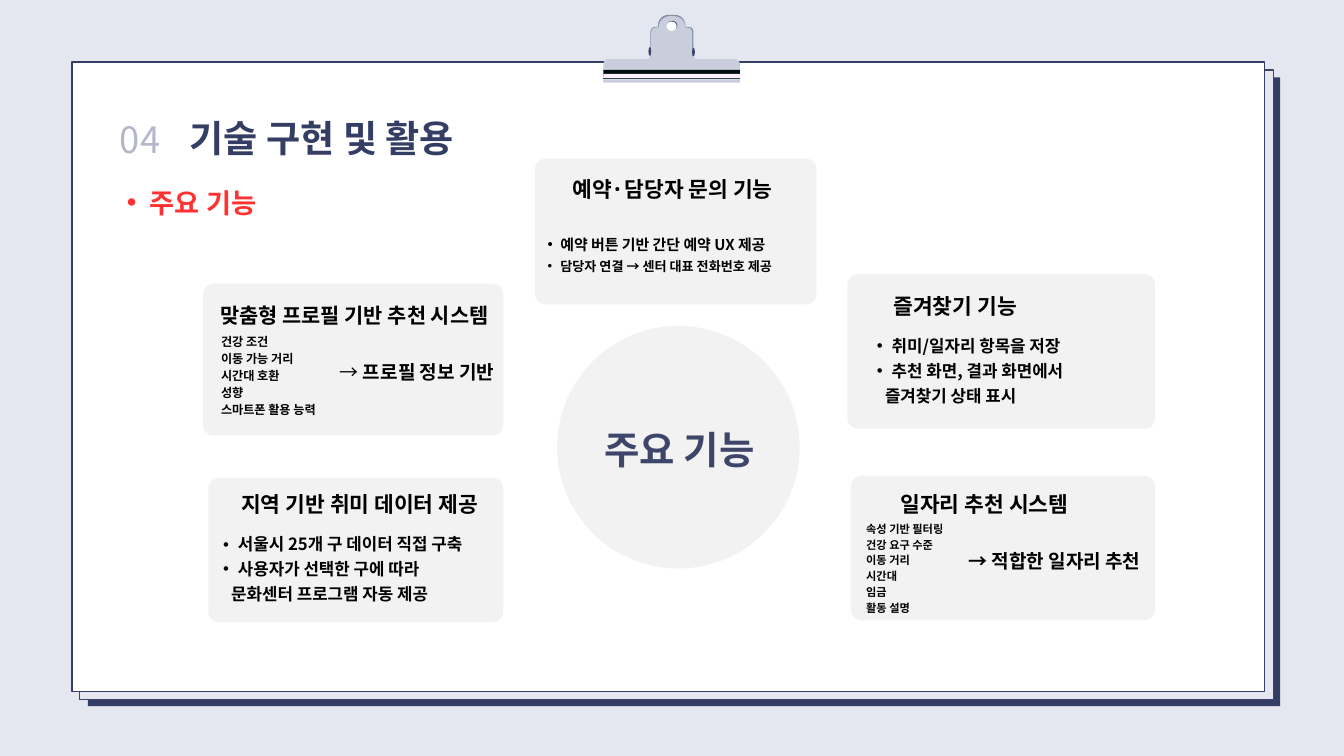
from dataclasses import dataclass

from lxml import etree
from pptx import Presentation
from pptx.dml.color import RGBColor
from pptx.enum.shapes import MSO_CONNECTOR, MSO_SHAPE
from pptx.enum.text import MSO_ANCHOR, MSO_AUTO_SIZE, PP_ALIGN
from pptx.oxml.ns import qn
from pptx.util import Inches, Pt

RECT, ROUND, OVAL = MSO_SHAPE.RECTANGLE, MSO_SHAPE.ROUNDED_RECTANGLE, MSO_SHAPE.OVAL
STRAIGHT = MSO_CONNECTOR.STRAIGHT
LEFT, CENTER = PP_ALIGN.LEFT, PP_ALIGN.CENTER
TOP = MSO_ANCHOR.TOP
NO_FIT = MSO_AUTO_SIZE.NONE


@dataclass(frozen=True)
class Theme:
    """Colours, font and type sizes of the deck."""
    font: str = "Noto Sans CJK KR"
    back: str = "E5E7F0"
    paper: str = "FFFFFF"
    navy: str = "343D63"
    slate: str = "3D4569"
    number: str = "9BA0BB"
    accent: str = "FF3131"
    card: str = "F2F2F2"
    ink: str = "000000"
    metal: str = "CACDDB"
    edge: str = "8192A7"
    band: str = "000C0D"
    blush: str = "FCF1FA"
    wire: str = "2D4550"
    number_size: float = 38.9
    title_size: float = 39.8
    hub_size: float = 41.2
    section_size: float = 29.2
    head_size: float = 23
    long_head_size: float = 22.3
    result_size: float = 20.4
    body_size: float = 18
    body_leading: float = 26.6
    line_ratio: float = 1.4


T = Theme()


def shift(box, dx, dy, w, h):
    """Return a box of the given size, offset from the corner of another."""
    return box[0] + dx, box[1] + dy, w, h


def add_box(slide, kind, box, fill, line=None, radius=None, rotation=0):
    """Add a flat preset shape."""
    sp = slide.shapes.add_shape(kind, *map(Inches, box))
    sp.shadow.inherit = False
    sp.rotation = rotation
    sp.fill.solid()
    sp.fill.fore_color.rgb = RGBColor.from_string(fill)
    if line:
        sp.line.color.rgb = RGBColor.from_string(line)
        sp.line.width = Pt(1.5)
    else:
        sp.line.fill.background()
    if radius:
        sp.adjustments[0] = min(0.5, radius / min(box[2:]))
    return sp


def add_line(slide, x1, x2, y, color, width):
    """Add a horizontal line."""
    cx = slide.shapes.add_connector(STRAIGHT, *map(Inches, (x1, y, x2, y)))
    cx.line.color.rgb = RGBColor.from_string(color)
    cx.line.width = Pt(width)
    etree.SubElement(cx._element.spPr, qn("a:effectLst"))


def add_run(p, text, size, color, bold, alpha=None):
    """Add a run in the theme font."""
    r = p.add_run()
    r.text = text
    r.font.size, r.font.bold, r.font.name = Pt(size), bold, T.font
    r.font.color.rgb = RGBColor.from_string(color)
    rpr = r._r.get_or_add_rPr()
    etree.SubElement(rpr, qn("a:ea"), typeface=T.font)
    if alpha:
        clr = rpr.find(qn("a:solidFill"))[0]
        etree.SubElement(clr, qn("a:alpha"), val=str(alpha * 1000))


def set_indent(p, left, hanging=0):
    """Indent a paragraph, with a bullet when it hangs."""
    ppr = p._p.get_or_add_pPr()
    ppr.set("marL", str(Inches(left)))
    ppr.set("indent", str(-Inches(hanging)))
    if hanging:
        etree.SubElement(ppr, qn("a:buFont"), typeface="Arial")
        etree.SubElement(ppr, qn("a:buChar"), char="•")


def write(tf, lines, size, color=T.ink, bold=True, align=LEFT, leading=None,
          bullet=None, tail=None, last_size=None, lead="", alpha=None):
    """Fill a text frame with lines, optionally bulleted, and an indented tail line."""
    tf.word_wrap, tf.auto_size, tf.vertical_anchor = True, NO_FIT, TOP
    tf.margin_left = tf.margin_top = tf.margin_right = tf.margin_bottom = 0
    texts = lines + ([tail] if tail else [])
    for i, text in enumerate(texts):
        p = tf.paragraphs[0] if i == 0 else tf.add_paragraph()
        p.alignment = align
        p.line_spacing = Pt(round(leading or size * T.line_ratio, 1))
        p.space_before = p.space_after = Pt(0)
        if tail and i == len(lines):
            set_indent(p, 0.34)
        elif bullet:
            set_indent(p, 2 * bullet, bullet)
        if lead:
            add_run(p, lead, size, color, False)
        last = last_size and i == len(texts) - 1
        add_run(p, text, last_size if last else size, color, bold, alpha)


def add_text(slide, box, lines, size, **fmt):
    """Add a text box."""
    write(slide.shapes.add_textbox(*map(Inches, box)).text_frame, lines, size, **fmt)


def add_sheets(slide, box):
    """Stack three sheets of paper, the top one at the box."""
    _, _, w, h = box
    add_box(slide, RECT, shift(box, 0.24, 0.23, w - 0.01, h - 0.01), T.navy)
    add_box(slide, RECT, shift(box, 0.11, 0.12, w + 0.02, h), T.back, T.slate)
    add_box(slide, RECT, box, T.paper, T.navy)


def add_clip(slide, box):
    """Draw the clipboard clip."""
    x, y, w, _ = box
    back = [(ROUND, 0.81, 0, 0.41, 0.33, T.edge, 0.16, 0),
            (ROUND, 0.7, 0.18, 0.64, 0.61, T.edge, 0.07, 0),
            (RECT, 0.62, 0.63, 0.18, 0.06, T.metal, None, 315),
            (ROUND, 0.71, 0.19, 0.61, 0.67, T.metal, 0.07, 0),
            (ROUND, 0, 0.66, w, 0.33, T.metal, 0.07, 0),
            (ROUND, 0.82, 0.02, 0.4, 0.35, T.metal, 0.17, 0),
            (RECT, 0, 0.82, w, 0.1, T.band, None, 0),
            (RECT, 0, 0.88, w, 0.13, T.blush, None, 0)]
    front = [(RECT, 1.25, 0.64, 0.19, 0.05, T.metal, None, 45),
             (RECT, 0, 0.96, w, 0.05, T.metal, None, 0),
             (OVAL, 1.32, 0.49, 0.04, 0.13, T.slate, None, 0),
             (OVAL, 0.95, 0.09, 0.15, 0.14, T.slate, None, 0),
             (OVAL, 0.94, 0.1, 0.15, 0.14, T.paper, None, 0),
             (OVAL, 0.67, 0.48, 0.04, 0.13, T.slate, None, 0)]
    wires = [(0.94, T.ink, 0.92), (0.95, T.wire, 1.54)]

    def add_parts(parts):
        """Add the metal parts in order."""
        for kind, dx, dy, pw, ph, fill, radius, turn in parts:
            add_box(slide, kind, shift(box, dx, dy, pw, ph), fill,
                    radius=radius, rotation=turn)

    add_parts(back)
    for dy, color, width in wires:
        add_line(slide, x, x + w, y + dy, color, width)
    add_parts(front)


def add_header(slide, box):
    """Place the number, the title and the section name above the sheets."""
    add_text(slide, shift(box, 0, 0.04, 1.07, 0.74), ["04"], T.number_size,
             color=T.number, bold=False, align=CENTER, alpha=74)
    title = slide.shapes.title
    title.left, title.top, title.width, title.height = map(
        Inches, shift(box, 1.27, 0, 6.16, 0.78))
    write(title.text_frame, ["기술 구현 및 활용"], T.title_size, color=T.navy)
    title._element.getparent().append(title._element)
    add_text(slide, shift(box, 0, 1.09, 3.79, 0.54), ["주요 기능"], T.section_size,
             color=T.accent, bullet=0.34)


def add_hub(slide, box):
    """Draw the central circle and its label."""
    add_box(slide, OVAL, box, T.card)
    add_text(slide, shift(box, 0.69, 1.38, 2.26, 0.77), ["주요 기능"], T.hub_size,
             color=T.slate, align=CENTER)


def add_card(slide, box, head, head_at, head_size=T.head_size):
    """Draw a rounded card with its heading, placed by offset and width."""
    add_box(slide, ROUND, box, T.card, radius=0.16)
    dx, dy, w = head_at
    add_text(slide, shift(box, dx, dy, w, 0.44), [head], head_size, align=CENTER)


def add_bullet_card(slide, box, head, head_at, body_at, lines, size=T.body_size,
                    leading=T.body_leading, step=0.22, **fmt):
    """Draw a card with a bulleted body."""
    add_card(slide, box, head, head_at)
    add_text(slide, shift(box, *body_at), lines, size, leading=leading,
             bullet=step, **fmt)


def add_match_card(slide, box, head, head_at, list_at, lines, size, result_at,
                   result, lead="", **fmt):
    """Draw a card with a list of inputs that leads to a result."""
    add_card(slide, box, head, head_at, **fmt)
    add_text(slide, shift(box, *list_at), lines, size)
    add_text(slide, shift(box, *result_at), [result], T.result_size,
             align=CENTER, lead=lead)


def main():
    """Build the slide and save it."""
    prs = Presentation()
    prs.slide_width, prs.slide_height = Inches(20), Inches(11.25)
    s = prs.slides.add_slide(prs.slide_layouts[5])
    s.background.fill.solid()
    s.background.fill.fore_color.rgb = RGBColor.from_string(T.back)
    add_sheets(s, (1.07, 0.92, 17.75, 9.37))
    add_clip(s, (8.98, 0.22, 2.03, 1.01))
    add_header(s, (1.55, 1.6, 7.43, 1.63))
    add_hub(s, (8.29, 4.85, 3.61, 3.61))
    add_match_card(
        s, (3.02, 4.22, 4.47, 2.26), "맞춤형 프로필 기반 추천 시스템", (-0.11, 0.23, 4.73),
        (0.27, 0.72, 1.63, 1.5),
        ["건강 조건", "이동 가능 거리", "시간대 호환", "성향", "스마트폰 활용 능력"], 13,
        (1.72, 1.09, 2.93, 0.4), "프로필 정보 기반", lead="→ ", head_size=T.long_head_size)
    add_bullet_card(
        s, (3.1, 7.11, 4.39, 2.15), "지역 기반 취미 데이터 제공", (0.19, 0.13, 4.13),
        (0, 0.77, 4.12, 1.12), ["서울시 25개 구 데이터 직접 구축", "사용자가 선택한 구에 따라"],
        tail="문화센터 프로그램 자동 제공")
    add_bullet_card(
        s, (7.96, 2.36, 4.19, 2.17), "예약·담당자 문의 기능", (0.27, 0.19, 3.56),
        (0, 1.1, 4.07, 0.61),
        ["예약 버튼 기반 간단 예약 UX 제공", "담당자 연결 → 센터 대표 전화번호 제공"],
        size=16, leading=22.4, step=0.19, last_size=14)
    add_bullet_card(
        s, (12.61, 4.08, 4.58, 2.3), "즐겨찾기 기능", (0.36, 0.21, 2.49),
        (0.22, 0.85, 4.17, 1.12), ["취미/일자리 항목을 저장", "추천 화면, 결과 화면에서"],
        tail="즐겨찾기 상태 표시")
    add_match_card(
        s, (12.66, 7.08, 4.53, 2.15), "일자리 추천 시스템", (0.23, 0.16, 3.52),
        (0.23, 0.66, 1.44, 1.41),
        ["속성 기반 필터링", "건강 요구 수준", "이동 거리", "시간대", "임금", "활동 설명"], 12,
        (1.72, 1.04, 2.62, 0.38), "→ 적합한 일자리 추천")
    prs.save("out.pptx")


if __name__ == "__main__":
    main()
